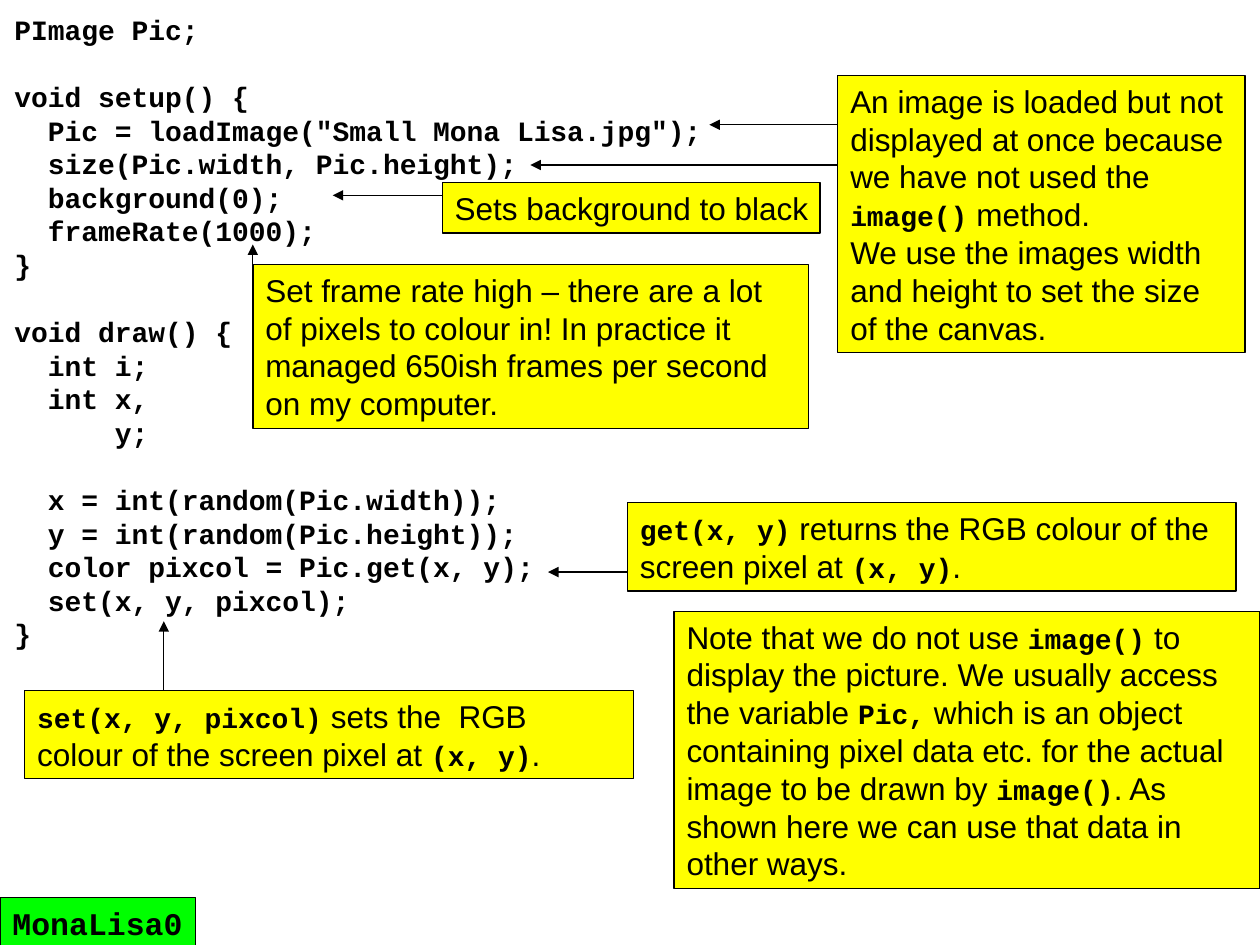
import pptx
import pptx.util
import pptx.dml.color
import pptx.enum.shapes
import pptx.enum.text
from lxml import etree
from pptx.oxml.ns import qn

Pt = pptx.util.Pt
BLACK, YELLOW, GREEN = "000000", "FFFF00", "00FF00"
CODE_SIZE, PROSE_SIZE, LINE_RATIO = 16, 18, 1.2
MARGIN = 7.2

LISTING = """PImage Pic;

void setup() {
  Pic = loadImage("Small Mona Lisa.jpg");
  size(Pic.width, Pic.height);
  background(0);
  frameRate(1000);
}

void draw() {
  int i;
  int x,
      y;

  x = int(random(Pic.width));
  y = int(random(Pic.height));
  color pixcol = Pic.get(x, y);
  set(x, y, pixcol);
}"""

NOTES = [
    {"box": (252.7, 104.4, 216, 28.8), "margin_right": 0,
     "paragraphs": ["Sets background to black"],
     "arrows": [(0, 7.2, -62.6, 7.2)]},
    {"box": (478.8, 43.2, 232.6, 158.4),
     "paragraphs": ["An image is loaded but not displayed at once because we have "
                    "not used the `image()` method.",
                    "We use the images width and height to set the size of the canvas."],
     "arrows": [(0, 28.1, -73.4, 28.1), (0, 51.1, -175.7, 51.1)]},
    {"box": (358.6, 287.3, 347.8, 50.4),
     "paragraphs": ["`get(x, y)` returns the RGB colour of the screen pixel at `(x, y)`."],
     "arrows": [(0, 39.6, -45.4, 39.6)]},
    {"box": (14.2, 394.6, 347.8, 50.4),
     "paragraphs": ["`set(x, y, pixcol)` sets the  RGB colour of the screen pixel at "
                    "`(x, y)`."],
     "arrows": [(79.4, 0, 79.4, -39.6)]},
    {"box": (144.5, 151.2, 317.5, 93.6),
     "paragraphs": ["Set frame rate high – there are a lot of pixels to colour in! In "
                    "practice it managed 650ish frames per second on my computer."],
     "arrows": [(0, 0, 0, -11.5)]},
    {"box": (0, 512.8, 111.6, 28.8), "margin_right": 0, "fill": GREEN,
     "code_size": PROSE_SIZE, "paragraphs": ["`MonaLisa0`"]},
    {"box": (385.2, 349.4, 334.8, 158.4),
     "paragraphs": ["Note that we do not use `image()` to display the picture. We usually "
                    "access the variable `Pic,` which is an object containing pixel data "
                    "etc. for the actual image to be drawn by `image()`. As shown here we "
                    "can use that data in other ways."]},
]


def color(value):
    """Return the colour of a hex string."""
    return pptx.dml.color.RGBColor.from_string(value)


def add_run(paragraph, text, is_code, size):
    """Add one run of code or prose to a paragraph."""
    run = paragraph.add_run()
    run.text = text
    run.font.name = "Courier New" if is_code else "Arial"
    run.font.size = Pt(size)
    run.font.bold = is_code
    run.font.color.rgb = color(BLACK)


def prepare_frame(shape, margin_right):
    """Set wrapping, anchor and right margin of a shape's text and return its frame."""
    frame = shape.text_frame
    frame.word_wrap = True
    frame.auto_size = pptx.enum.text.MSO_AUTO_SIZE.NONE
    frame.vertical_anchor = pptx.enum.text.MSO_ANCHOR.TOP
    frame.margin_right = Pt(margin_right)
    return frame


def add_paragraph(frame, index, size):
    """Return the paragraph at an index with its alignment and line height set."""
    paragraph = frame.add_paragraph() if index else frame.paragraphs[0]
    paragraph.alignment = pptx.enum.text.PP_ALIGN.LEFT
    paragraph.line_spacing = Pt(size * LINE_RATIO)
    return paragraph


def add_listing(slide, box, listing):
    """Place the program, one paragraph a line, with space between its sections."""
    shape = slide.shapes.add_textbox(*map(Pt, box))
    frame = prepare_frame(shape, 0)
    for section_index, section in enumerate(listing.split("\n\n")):
        for line_index, line in enumerate(section.split("\n")):
            paragraph = add_paragraph(frame, section_index + line_index, CODE_SIZE)
            if section_index and not line_index:
                paragraph.space_before = Pt(CODE_SIZE * LINE_RATIO)
            add_run(paragraph, line, True, CODE_SIZE)


def add_arrow(slide, begin_x, begin_y, end_x, end_y):
    """Draw a thin straight arrow."""
    connector = slide.shapes.add_connector(
        pptx.enum.shapes.MSO_CONNECTOR.STRAIGHT, *map(Pt, (begin_x, begin_y, end_x, end_y)))
    connector.line.color.rgb = color(BLACK)
    connector.line.width = Pt(0.75)
    line_properties = connector._element.spPr.find(qn("a:ln"))
    etree.SubElement(line_properties, qn("a:tailEnd"), type="triangle")
    etree.SubElement(connector._element.spPr, qn("a:effectLst"))


def add_note(slide, box, paragraphs, arrows=(), margin_right=MARGIN, fill=YELLOW,
             code_size=CODE_SIZE):
    """Place a filled note, its backquoted parts as code, with arrows relative to its corner."""
    left, top = box[:2]
    for begin_x, begin_y, end_x, end_y in arrows:
        add_arrow(slide, left + begin_x, top + begin_y, left + end_x, top + end_y)
    shape = slide.shapes.add_shape(pptx.enum.shapes.MSO_SHAPE.RECTANGLE, *map(Pt, box))
    shape.shadow.inherit = False
    shape.fill.solid()
    shape.fill.fore_color.rgb = color(fill)
    shape.line.color.rgb = color(BLACK)
    shape.line.width = Pt(0.75)
    frame = prepare_frame(shape, margin_right)
    for index, text in enumerate(paragraphs):
        paragraph = add_paragraph(frame, index, PROSE_SIZE)
        for part_index, part in enumerate(text.split("`")):
            is_code = part_index % 2 == 1
            if part:
                add_run(paragraph, part, is_code, code_size if is_code else PROSE_SIZE)


def main():
    """Build the annotated program slide."""
    presentation = pptx.Presentation()
    presentation.slide_width, presentation.slide_height = Pt(720), Pt(540)
    slide = presentation.slides.add_slide(presentation.slide_layouts[6])
    add_listing(slide, (1.2, 3.6, 406.8, 372), LISTING)
    for note in NOTES:
        add_note(slide, **note)
    presentation.save("out.pptx")


if __name__ == "__main__":
    main()
